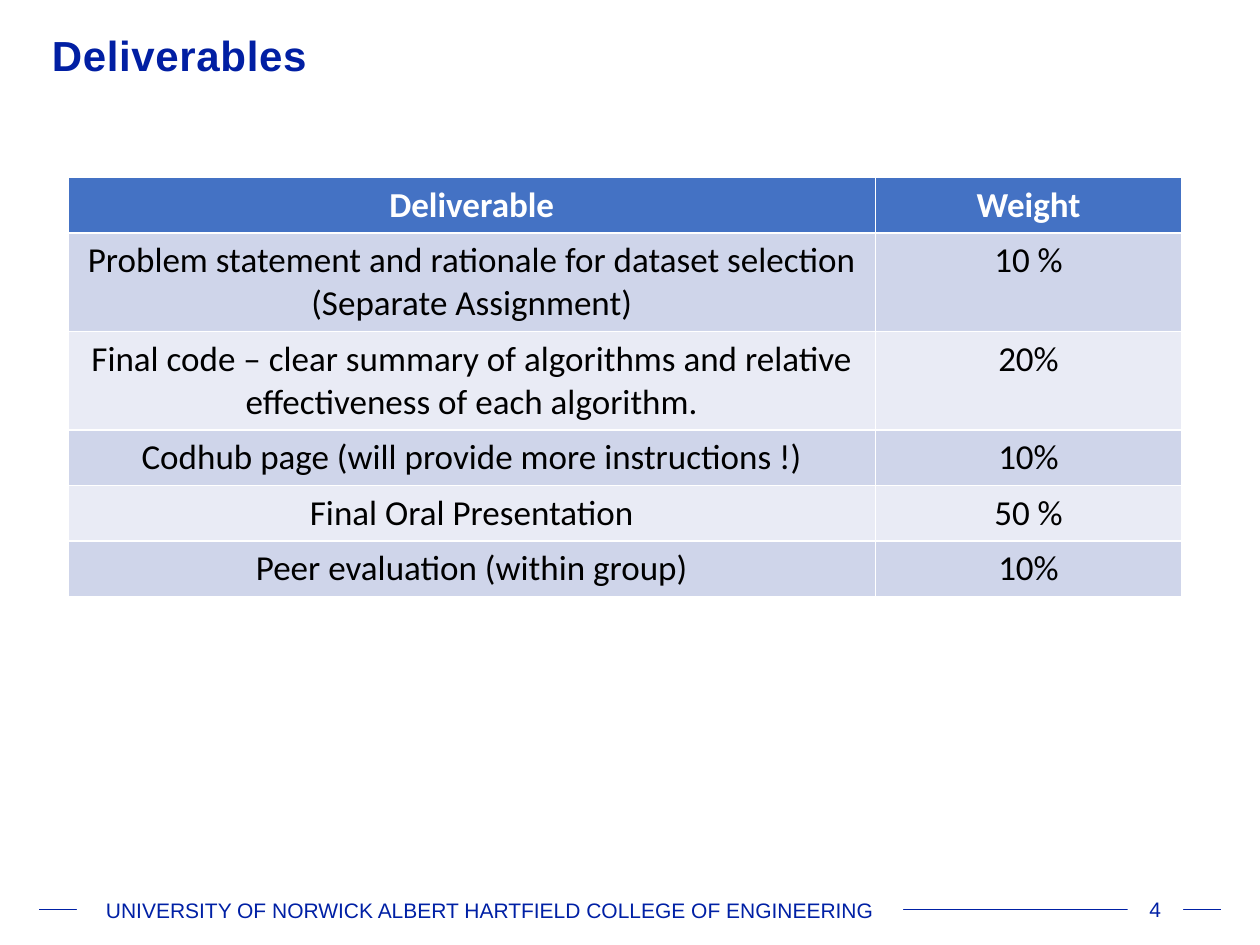
from lxml import etree
from pptx import Presentation, util as u
from pptx.dml.color import RGBColor
from pptx.enum import shapes, text
from pptx.oxml.ns import qn

COLORS = {
    "title": "011FA3",
    "footer": "0020A5",
    "header": "4472C4",
    "odd_row": "CFD5EA",
    "even_row": "E9EBF5",
    "white": "FFFFFF",
    "black": "000000",
}

DELIVERABLES = [
    ("Deliverable", "Weight"),
    ("Problem statement and rationale for dataset selection (Separate Assignment)", "10 %"),
    ("Final code – clear summary of algorithms and relative effectiveness of each algorithm.", "20%"),
    ("Codhub page (will provide more instructions !)", "10%"),
    ("Final Oral Presentation", "50 %"),
    ("Peer evaluation (within group)", "10%"),
]
COLUMN_WIDTHS = (16.28, 6.17)
ROW_HEIGHTS = (1.11, 1.98, 1.98, 1.11, 1.11, 1.11)


def color(name):
    return RGBColor.from_string(COLORS[name])


def box(*lengths):
    return [u.Cm(length) for length in lengths]


class SlideBuilder:
    heading_font = "Arial"
    table_font = "Calibri"

    def __init__(self, slide):
        self.slide = slide

    def style(self, paragraph, font, size, color_name, bold=False, align=text.PP_ALIGN.CENTER):
        paragraph.alignment = align
        for run in paragraph.runs:
            run.font.name = font
            run.font.size = u.Pt(size)
            run.font.bold = bold
            run.font.color.rgb = color(color_name)

    def title(self, wording, left, top, width, height):
        heading = self.slide.shapes.title
        heading.left, heading.top, heading.width, heading.height = box(left, top, width, height)
        frame = heading.text_frame
        frame.text = wording
        frame.vertical_anchor = text.MSO_ANCHOR.MIDDLE
        paragraph = frame.paragraphs[0]
        paragraph.line_spacing = 0.9
        self.style(paragraph, self.heading_font, 24, "title", True, text.PP_ALIGN.LEFT)
        paragraph.runs[0].font._element.set("spc", "40")

    def rule(self, left, right, y):
        footer_rule = self.slide.shapes.add_connector(
            shapes.MSO_CONNECTOR.STRAIGHT, *box(left, y, right, y))
        footer_rule.line.color.rgb = color("footer")
        footer_rule.line.width = u.Pt(0.5)
        etree.SubElement(footer_rule._element.spPr, qn("a:effectLst"))

    def label(self, wording, left, top, width, height):
        plate = self.slide.shapes.add_shape(
            shapes.MSO_SHAPE.RECTANGLE, *box(left, top, width, height))
        plate.shadow.inherit = False
        plate.fill.solid()
        plate.fill.fore_color.rgb = color("white")
        plate.line.fill.background()
        frame = plate.text_frame
        frame.text = wording
        frame.word_wrap = True
        frame.vertical_anchor = text.MSO_ANCHOR.MIDDLE
        self.style(frame.paragraphs[0], self.heading_font, 12, "footer")

    def table(self, rows, left, top, widths, heights):
        grid = self.slide.shapes.add_table(
            len(rows), len(widths), *box(left, top, sum(widths), sum(heights))).table
        for column, width in zip(grid.columns, widths):
            column.width = u.Cm(width)
        for index, (row, height, wordings) in enumerate(zip(grid.rows, heights, rows)):
            row.height = u.Cm(height)
            is_header = index == 0
            band = "header" if is_header else "odd_row" if index % 2 else "even_row"
            for cell, wording in zip(row.cells, wordings):
                cell.fill.solid()
                cell.fill.fore_color.rgb = color(band)
                cell.text_frame.text = wording
                self.style(cell.text_frame.paragraphs[0], self.table_font, 20,
                           "white" if is_header else "black", is_header)


def main():
    deck = Presentation()
    deck.slide_width, deck.slide_height = box(25.4, 19.05)
    builder = SlideBuilder(deck.slides.add_slide(deck.slide_layouts[5]))
    builder.rule(0.79, 24.61, 18.34)
    builder.label("4", 22.73, 17.7, 1.12, 1.27)
    builder.title("Deliverables", 0.79, 0, 23.8, 2.34)
    builder.label("UNIVERSITY OF NORWICK ALBERT HARTFIELD COLLEGE OF ENGINEERING",
                  1.55, 17.83, 16.66, 1.02)
    builder.table(DELIVERABLES, 1.37, 3.58, COLUMN_WIDTHS, ROW_HEIGHTS)
    deck.save("out.pptx")


if __name__ == "__main__":
    main()
